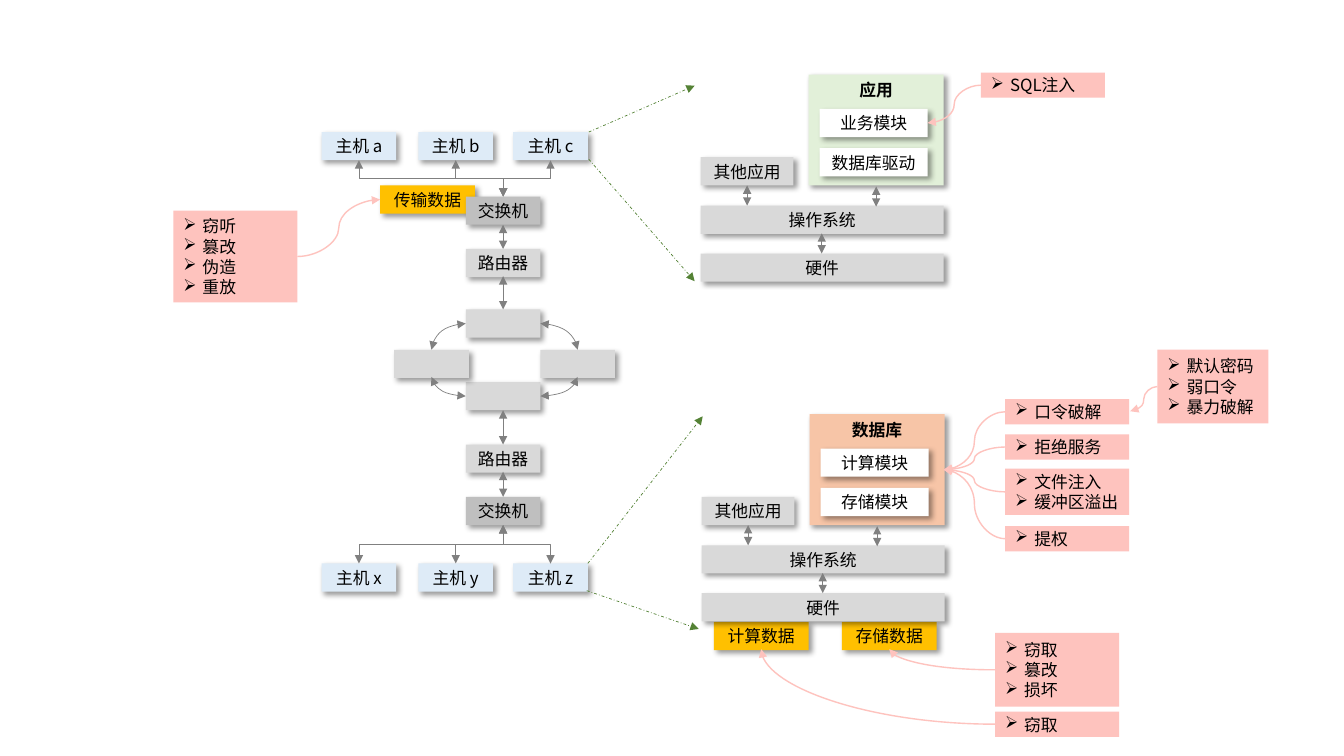
from dataclasses import dataclass

from lxml import etree
from pptx import Presentation
from pptx.dml.color import RGBColor
from pptx.enum.dml import MSO_LINE
from pptx.enum.shapes import MSO_CONNECTOR, MSO_SHAPE
from pptx.enum.text import MSO_ANCHOR, PP_ALIGN
from pptx.oxml.ns import qn
from pptx.util import Inches, Pt

RECTANGLE = MSO_SHAPE.RECTANGLE
STRAIGHT, ELBOW, CURVE = MSO_CONNECTOR.STRAIGHT, MSO_CONNECTOR.ELBOW, MSO_CONNECTOR.CURVE
MIDDLE, TOP = MSO_ANCHOR.MIDDLE, MSO_ANCHOR.TOP
LEFT, CENTER = PP_ALIGN.LEFT, PP_ALIGN.CENTER
DASH_DOT = MSO_LINE.DASH_DOT

SLIDE_WIDTH, SLIDE_HEIGHT = Inches(13.33), Inches(7.5)
COLUMNS, ROWS = 133.3, 75
NODE_WIDTH, NODE_HEIGHT = 7.4, 2.8
HOST_LEFTS = (31.9, 41.5, 50.9)
TRUNK_LEFT = 46.2
TRUNK = TRUNK_LEFT + NODE_WIDTH / 2


@dataclass(frozen=True)
class Theme:
    font: str = "Noto Sans CJK SC"
    size: float = 12
    leading: float = 14.5
    text: str = "000000"
    data: str = "FFC000"
    threat: str = "FEC3BE"
    host: str = "DEEBF7"
    switch: str = "BFBFBF"
    device: str = "D9D9D9"
    application: str = "E2F0D9"
    database: str = "F7C5A7"
    module: str = "FFFFFF"
    link: str = "808080"
    zoom: str = "548235"
    thin: float = 0.5
    thick: float = 1


def column(count):
    return round(SLIDE_WIDTH * count / COLUMNS)


def row(count):
    return round(SLIDE_HEIGHT * count / ROWS)


def add_element(parent, tag, **attributes):
    return etree.SubElement(parent, qn(tag), attributes)


def write_text(frame, lines, theme, align=CENTER, anchor=MIDDLE, bold=False, bullet=None):
    frame.word_wrap = True
    frame.vertical_anchor = anchor
    frame.margin_left = column(1) if bullet else 0
    frame.margin_right = 0
    for index, line in enumerate(lines):
        para = frame.add_paragraph() if index else frame.paragraphs[0]
        para.alignment = align
        para.line_spacing = Pt(theme.leading)
        if bullet:
            properties = para._p.get_or_add_pPr()
            properties.set("marL", str(Inches(0.19)))
            properties.set("indent", str(-Inches(0.19)))
            add_element(properties, "a:buChar", char=bullet)
        span = para.add_run()
        span.text = line
        span.font.size = Pt(theme.size)
        span.font.bold = bold
        span.font.color.rgb = RGBColor.from_string(theme.text)
        span.font.name = theme.font
        add_element(span.font._element, "a:ea", typeface=theme.font)


class Diagram:
    def __init__(self, page, theme):
        self.page = page
        self.theme = theme

    def block(self, left, top, width, height, fill, lines=(), shadow=True, **style):
        box = self.page.shapes.add_shape(
            RECTANGLE, column(left), row(top), column(width), row(height))
        box.fill.solid()
        box.fill.fore_color.rgb = RGBColor.from_string(fill)
        box.line.fill.background()
        box.shadow.inherit = False
        if shadow:
            effects = box._element.spPr.find(qn("a:effectLst"))
            outer = add_element(effects, "a:outerShdw", blurRad=str(Pt(4)), dist=str(Pt(3)),
                                dir="2700000", algn="tl", rotWithShape="0")
            add_element(add_element(outer, "a:srgbClr", val="000000"), "a:alpha", val="40000")
        if lines:
            write_text(box.text_frame, lines, self.theme, **style)

    def node(self, left, top, fill, text="", width=NODE_WIDTH):
        self.block(left, top, width, NODE_HEIGHT, fill, [text] if text else [])

    def threat(self, left, top, width, height, lines):
        self.block(left, top, width, height, self.theme.threat, lines,
                   shadow=False, align=LEFT, bullet="➢")

    def connect(self, start, end, color, width, kind=STRAIGHT, both=False, dash=None):
        link = self.page.shapes.add_connector(
            kind, column(start[0]), row(start[1]), column(end[0]), row(end[1]))
        link.line.color.rgb = RGBColor.from_string(color)
        link.line.width = Pt(width)
        if dash:
            link.line.dash_style = dash
        outline = link.line._get_or_add_ln()
        if both:
            add_element(outline, "a:headEnd", type="triangle")
        add_element(outline, "a:tailEnd", type="triangle")
        add_element(link._element.spPr, "a:effectLst")
        return link

    def link(self, start, end, kind=STRAIGHT):
        return self.connect(start, end, self.theme.link, self.theme.thin, kind, both=True)

    def branch(self, start, end):
        middle_x, middle_y = (start[0] + end[0]) / 2, (start[1] + end[1]) / 2
        sign = 1 if end[1] > start[1] else -1
        along = sign * (end[1] - start[1]) / 2
        across = sign * (end[0] - start[0]) / 2
        link = self.link((middle_x - along, middle_y + across),
                         (middle_x + along, middle_y - across), ELBOW)
        link.rotation = 90 if sign > 0 else 270

    def quarter(self, link):
        link._element.spPr.find(qn("a:prstGeom")).set("prst", "curvedConnector2")

    def attack(self, start, end, quarter=False):
        link = self.connect(start, end, self.theme.threat, self.theme.thick, CURVE)
        if quarter:
            self.quarter(link)

    def zoom(self, start, end):
        self.connect(start, end, self.theme.zoom, self.theme.thin, dash=DASH_DOT)

    def stack(self, left, top, title, fill, modules):
        device = self.theme.device
        self.block(left + 10.7, top, 13.4, 11, fill, [title], anchor=TOP, bold=True)
        for index, module in enumerate(modules):
            self.node(left + 11.8, top + 3.4 + 3.9 * index, self.theme.module, module, 10.7)
        self.node(left, top + 8.2, device, "其他应用", 9.2)
        self.node(left, top + 13, device, "操作系统", 24.1)
        self.node(left, top + 17.75, device, "硬件", 24.1)
        for across, down in ((4.6, 11), (12, 15.75), (17.4, 11.1)):
            self.link((left + across, top + down), (left + across, top + down + 2))

    def hosts(self, top, names, switch_edge, host_edge):
        for left, name in zip(HOST_LEFTS, names):
            self.node(left, top, self.theme.host, f"主机 {name}")
            self.branch((TRUNK, switch_edge), (left + NODE_WIDTH / 2, host_edge))

    def network(self):
        theme = self.theme
        for top, fill, text in (
                (19.5, theme.switch, "交换机"), (24.7, theme.device, "路由器"),
                (30.7, theme.device, ""), (37.9, theme.device, ""),
                (44.1, theme.device, "路由器"), (49.3, theme.switch, "交换机")):
            self.node(TRUNK_LEFT, top, fill, text)
        for left in (39.1, 53.6):
            self.node(left, 34.7, theme.device)
        self.hosts(13.1, "abc", 19.5, 15.9)
        self.hosts(55.9, "xyz", 52.1, 55.9)
        for top, bottom in ((22.3, 24.7), (27.4, 30.7), (40.7, 44.1), (46.8, 49.3)):
            self.link((TRUNK, top), (TRUNK, bottom))
        for inner, outer in ((53.6, 57.3), (46.2, 42.8)):
            for start, end in ((32.1, 34.7), (39.3, 37.4)):
                self.quarter(self.link((inner, start), (outer, end), CURVE))

    def threats(self):
        database = (93.6, 46.6)
        for left, top, width, height, lines, target, quarter in (
                (17.2, 20.9, 12.3, 9.1, ["窃听", "篡改", "伪造", "重放"], (37.7, 19.8), False),
                (97.3, 7.2, 12.3, 2.5, ["SQL注入"], (92, 12.2), False),
                (99.7, 39.6, 12.3, 2.5, ["口令破解"], database, False),
                (99.7, 43.1, 12.3, 2.5, ["拒绝服务"], database, False),
                (99.7, 46.5, 12.3, 4.6, ["文件注入", "缓冲区溢出"], database, False),
                (99.7, 52.2, 12.3, 2.5, ["提权"], database, False),
                (114.8, 34.7, 11, 7.3, ["默认密码", "弱口令", "暴力破解"], (112.1, 40.8), False),
                (98.7, 62.8, 12.3, 7.3, ["窃取", "篡改", "损坏"], (88.2, 64.4), True),
                (98.7, 70.6, 12.3, 2.5, ["窃取"], (75.5, 64.4), True)):
            self.threat(left, top, width, height, lines)
            edge = left + width if target[0] > left + width else left
            self.attack((edge, top + height / 2), target, quarter)


def main():
    deck = Presentation()
    deck.slide_width, deck.slide_height = SLIDE_WIDTH, SLIDE_HEIGHT
    theme = Theme()
    diagram = Diagram(deck.slides.add_slide(deck.slide_layouts[6]), theme)
    for left, top, text in ((37.7, 18.4, "传输数据"), (70.8, 61.7, "计算数据"),
                            (83.5, 61.7, "存储数据")):
        diagram.node(left, top, theme.data, text, 9.4)
    diagram.network()
    diagram.stack(69.5, 7.4, "应用", theme.application, ["业务模块", "数据库驱动"])
    diagram.stack(69.6, 41.1, "数据库", theme.database, ["计算模块", "存储模块"])
    for start, end in (((58.4, 13.1), (68.9, 8.5)), ((58.4, 15.8), (68.9, 27.9)),
                       ((58.3, 55.9), (69.7, 41.3)), ((58.2, 58.6), (69.3, 62.4))):
        diagram.zoom(start, end)
    diagram.threats()
    deck.save("out.pptx")


if __name__ == "__main__":
    main()
